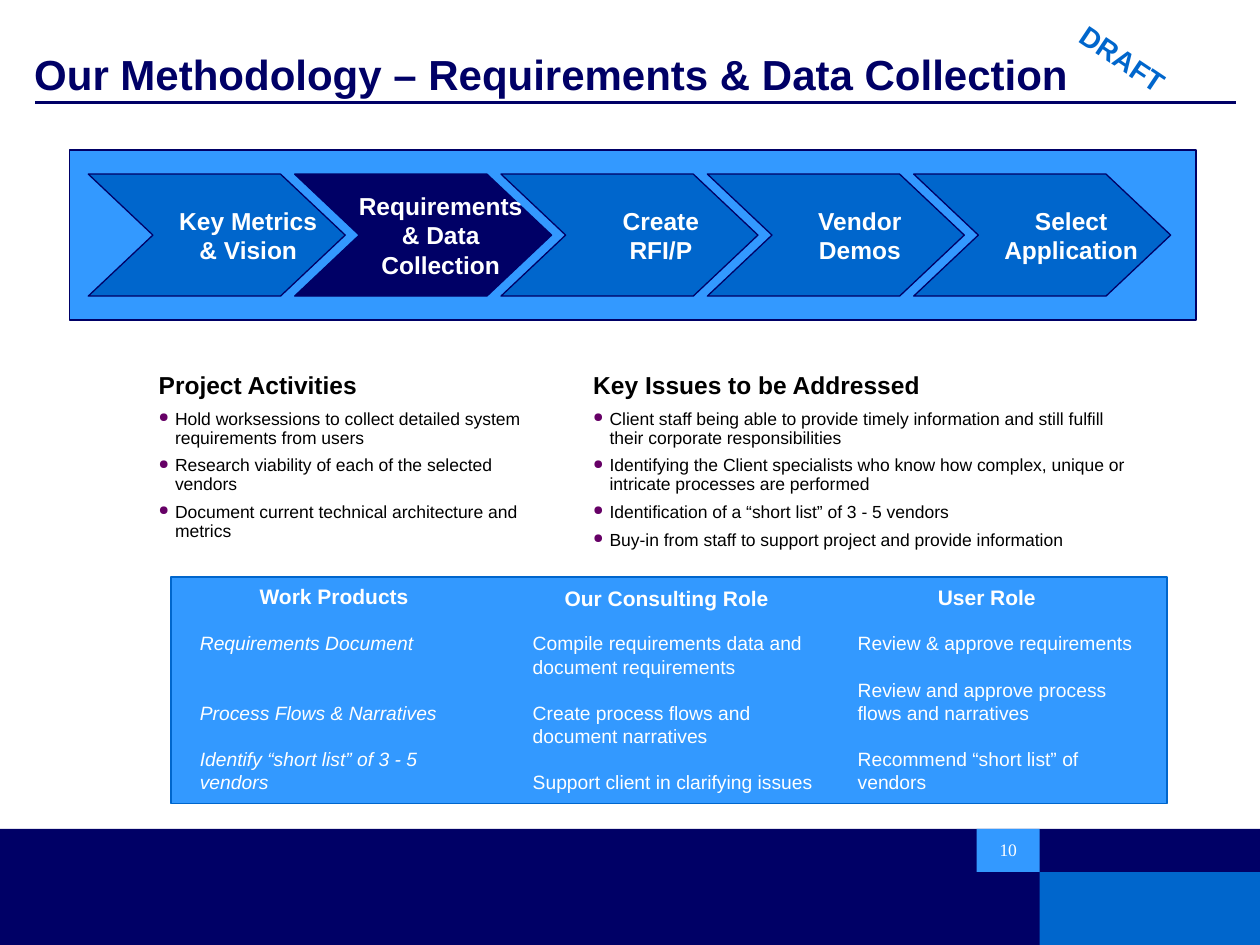
from lxml import etree
from pptx import Presentation
from pptx.dml.color import RGBColor
from pptx.enum.shapes import MSO_CONNECTOR, MSO_SHAPE
from pptx.enum.text import MSO_ANCHOR, MSO_AUTO_SIZE, PP_ALIGN
from pptx.oxml.ns import qn
from pptx.util import Cm, Pt

LEFT, CENTER = PP_ALIGN.LEFT, PP_ALIGN.CENTER
TOP, MIDDLE, BOTTOM = MSO_ANCHOR.TOP, MSO_ANCHOR.MIDDLE, MSO_ANCHOR.BOTTOM
RECTANGLE, CHEVRON = MSO_SHAPE.RECTANGLE, MSO_SHAPE.CHEVRON
NAVY, BLUE, SKY, WHITE, BLACK, PURPLE = "000066", "0066CC", "3399FF", "FFFFFF", "000000", "660066"
PADDING = (0.25, 0.13, 0.25, 0.13)
NO_PADDING = (0, 0, 0, 0)
BLANK_LINE = 13.2

TITLE = "Our Methodology – Requirements & Data Collection"
FOOTER = [
    ((0, 16.71, 25.4, 2.34), NAVY),
    ((20.96, 17.58, 4.44, 1.47), BLUE),
    ((19.69, 16.71, 1.27, 0.87), SKY),
]
STEPS = [
    (["Key Metrics", "& Vision"], BLUE, 1.27),
    (["Requirements", "& Data", "Collection"], NAVY, 0.71),
    (["Create", "RFI/P"], BLUE, 1.27),
    (["Vendor", "Demos"], BLUE, 0.97),
    (["Select", "Application"], BLUE, 1.17),
]
LISTS = [
    ((2.95, 7.39, 8.48, 9.5), "Project Activities", [
        "Hold worksessions to collect detailed system requirements from users",
        "Research viability of each of the selected vendors",
        "Document current technical architecture and metrics",
    ]),
    ((11.71, 7.39, 11.33, 3.58), "Key Issues to be Addressed", [
        "Client staff being able to provide timely information and still fulfill "
        "their corporate responsibilities",
        "Identifying the Client specialists who know how complex, unique or "
        "intricate processes are performed",
        "Identification of a “short list” of 3 - 5 vendors",
        "Buy-in from staff to support project and provide information",
    ]),
]
ROLES = [
    ("Work Products", (4.98, 11.63, 3.51, 0.76), 3.78, True, [
        ("Requirements Document", 0),
        ("Process Flows & Narratives", 2),
        ("Identify “short list” of 3 - 5 vendors", 1),
    ]),
    ("Our Consulting Role", (11.05, 11.68, 4.78, 0.76), 10.49, False, [
        ("Compile requirements data and document requirements", 0),
        ("Create process flows and document narratives", 1),
        ("Support client in clarifying issues", 1),
    ]),
    ("User Role", (18.69, 11.66, 2.41, 0.76), 17.04, False, [
        ("Review & approve requirements", 0),
        ("Review and approve process flows and narratives", 1),
        ("Recommend “short list” of vendors", 1),
    ]),
]


def color(code):
    return RGBColor.from_string(code)


def place(shape, area):
    shape.left, shape.top, shape.width, shape.height = map(Cm, area)


def write(shape, lines, size, code, bold=False, italic=False, align=LEFT,
          anchor=TOP, padding=PADDING, wrap=True, font="Arial"):
    frame = shape.text_frame
    frame.text = "\n".join(lines)
    frame.auto_size = MSO_AUTO_SIZE.NONE
    frame.word_wrap = wrap
    frame.vertical_anchor = anchor
    (frame.margin_left, frame.margin_top,
     frame.margin_right, frame.margin_bottom) = map(Cm, padding)
    for para in frame.paragraphs:
        para.alignment = align
        for span in para.runs:
            span.font.name, span.font.size = font, Pt(size)
            span.font.bold, span.font.italic = bold, italic
            span.font.color.rgb = color(code)
    return frame.paragraphs


def add_text(slide, area, lines, size, code, **style):
    box = slide.shapes.add_textbox(*map(Cm, area))
    return box, write(box, lines, size, code, **style)


def add_block(slide, kind, area, fill, line=None, width=1):
    shape = slide.shapes.add_shape(kind, *map(Cm, area))
    shape.shadow.inherit = False
    shape.fill.solid()
    shape.fill.fore_color.rgb = color(fill)
    if line:
        shape.line.color.rgb = color(line)
        shape.line.width = Pt(width)
    else:
        shape.line.fill.background()
    return shape


def add_bullet(para):
    properties = para._p.get_or_add_pPr()
    bullet_color = etree.SubElement(properties, qn("a:buClr"))
    etree.SubElement(bullet_color, qn("a:srgbClr"), val=PURPLE)
    etree.SubElement(properties, qn("a:buSzPct"), val="75000")
    etree.SubElement(properties, qn("a:buChar"), char="●")


def add_list(slide, area, heading, items):
    paras = add_text(slide, area, [heading, *items], 10, BLACK)[1]
    for index, para in enumerate(paras):
        properties = para._p.get_or_add_pPr()
        properties.set("marL", str(Cm(0.33)))
        properties.set("indent", str(-Cm(0.33)))
        para.line_spacing = 0.9
        para.space_after = Pt(2.5 if index else 3.5)
        if index:
            para.space_before = Pt(2.5)
            add_bullet(para)
        else:
            para.space_before = Pt(0)
            para.runs[0].font.size = Pt(14)
            para.runs[0].font.bold = True


def add_frame(slide):
    for area, fill in FOOTER:
        add_block(slide, RECTANGLE, area, fill)
    rule = slide.shapes.add_connector(
        MSO_CONNECTOR.STRAIGHT, Cm(0.71), Cm(2.06), Cm(24.92), Cm(2.06))
    rule.line.color.rgb = color(NAVY)
    rule.line.width = Pt(1.5)
    etree.SubElement(rule._element.spPr, qn("a:effectLst"))
    stamp, _ = add_text(slide, (20.65, 0.84, 3.96, 0.69), ["DRAFT"], 16, BLUE,
                        bold=True, align=CENTER, padding=NO_PADDING)
    stamp.rotation = 33.8
    place(slide.shapes.title, (0.69, 0, 24.28, 2.01))
    heading = write(slide.shapes.title, [TITLE], 24, NAVY, bold=True,
                    anchor=BOTTOM, padding=NO_PADDING)[0]
    heading.line_spacing = 0.9
    add_text(slide, (19.69, 16.81, 1.27, 0.64), ["10"], 10, WHITE, align=CENTER,
             anchor=MIDDLE, padding=NO_PADDING, font="Times New Roman")


def add_steps(slide):
    add_block(slide, RECTANGLE, (1.4, 3.02, 22.71, 3.43), SKY, NAVY)
    for index, (lines, fill, inset) in enumerate(STEPS):
        area = (1.78 + 4.16 * index, 3.51, 5.18, 2.46)
        step = add_block(slide, CHEVRON, area, fill, NAVY, 0.75)
        step.adjustments[0] = 0.53
        write(step, lines, 14, WHITE, bold=True, align=CENTER, anchor=MIDDLE,
              padding=(inset, 0.13, 0, 0.13), wrap=False)


def add_roles(slide):
    add_block(slide, RECTANGLE, (3.45, 11.63, 20.07, 4.57), SKY, BLUE)
    for heading, area, left, italic, entries in ROLES:
        add_text(slide, area, [heading], 12, WHITE, bold=True, align=CENTER,
                 anchor=MIDDLE, wrap=False)
        lines = [text for text, _ in entries]
        paras = add_text(slide, (left, 12.6, 6.27, 3.53), lines, 11, WHITE,
                         italic=italic, anchor=MIDDLE)[1]
        for para, (_, gap) in zip(paras, entries):
            para.space_before = Pt(gap * BLANK_LINE)


def main():
    deck = Presentation()
    deck.slide_width, deck.slide_height = Cm(25.4), Cm(19.05)
    slide = deck.slides.add_slide(deck.slide_layouts[5])
    add_frame(slide)
    add_steps(slide)
    for area, heading, items in LISTS:
        add_list(slide, area, heading, items)
    add_roles(slide)
    deck.save("out.pptx")


if __name__ == "__main__":
    main()
